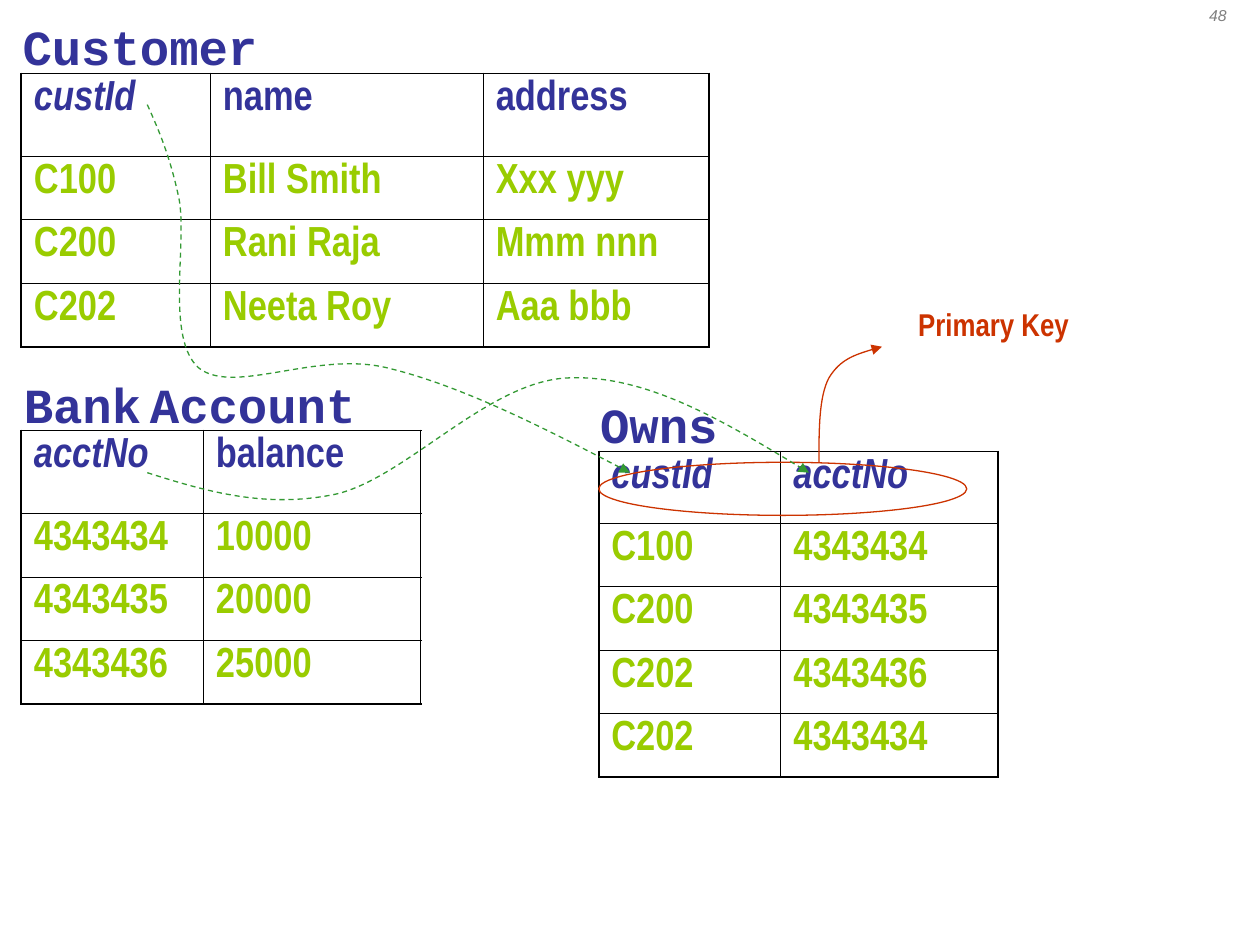
from lxml.etree import SubElement
from pptx import Presentation
from pptx.dml.color import RGBColor
from pptx.enum.dml import MSO_LINE
from pptx.enum.shapes import MSO_SHAPE
from pptx.enum.text import MSO_ANCHOR, MSO_AUTO_SIZE, PP_ALIGN
from pptx.oxml import parse_xml
from pptx.oxml.ns import nsdecls, qn
from pptx.util import Cm, Pt

NAVY = RGBColor(0x33, 0x33, 0x99)
LIME = RGBColor(0x99, 0xCC, 0x00)
RED = RGBColor(0xCC, 0x33, 0x00)
GREEN = RGBColor(0x33, 0x99, 0x33)
GRAY = RGBColor(0x80, 0x80, 0x80)
BLACK = RGBColor(0, 0, 0)

OUTER_BORDER, INNER_BORDER = Pt(1.08), Pt(0.45)
ROW_HEIGHT = 1.28

HEADING = ("Courier New", 28, NAVY, True, False)
WORD_GAP = ("Arial", 18, BLACK, True, False)
KEY_FIELD = ("Arial Narrow", 24, NAVY, True, True)
FIELD = ("Arial Narrow", 24, NAVY, True, False)
VALUE = ("Arial Narrow", 24, LIME, True, False)
NOTE = ("Arial Narrow", 18, RED, True, False)
PAGE = ("Arial", 9, GRAY, False, True)

RELATIONS = [
    {
        "heading": [("Customer", HEADING)],
        "heading_box": (0.2, 0.2, 5.6, 1.45),
        "corner": (0.43, 1.48), "columns": (3.81, 5.5, 4.55), "header_height": 1.67,
        "keys": ["custId"], "fields": ["name", "address"],
        "records": [("C100", "Bill Smith", "Xxx yyy"),
                    ("C200", "Rani Raja", "Mmm nnn"),
                    ("C202", "Neeta Roy", "Aaa bbb")],
    },
    {
        "heading": [("Bank", HEADING), (" ", WORD_GAP), ("Account", HEADING)],
        "heading_box": (0.23, 7.42, 7.4, 1.45),
        "corner": (0.43, 8.68), "columns": (3.67, 4.38), "header_height": 1.67,
        "keys": ["acctNo"], "fields": ["balance"],
        "records": [("4343434", "10000"), ("4343435", "20000"), ("4343436", "25000")],
    },
    {
        "heading": [("Owns", HEADING)],
        "heading_box": (11.85, 7.82, 3, 1.45),
        "corner": (12.07, 9.1), "columns": (3.67, 4.38), "header_height": 1.45,
        "keys": ["custId", "acctNo"], "fields": [],
        "records": [("C100", "4343434"), ("C200", "4343435"),
                    ("C202", "4343436"), ("C202", "4343434")],
    },
]

PRIMARY_KEY_OVAL = (12.07, 9.32, 7.42, 1.07)
PRIMARY_KEY_ARROW = [(16.51, 9.32),
                     (16.51, 8.66), (16.51, 8), (16.71, 7.62),
                     (16.94, 7.24), (17.35, 7.11), (17.78, 6.99)]
FOREIGN_KEY_ARROWS = [
    [(2.97, 2.11),
     (3.2, 2.62), (3.43, 3.15), (3.61, 4.01),
     (3.78, 4.9), (3.33, 6.83), (4.01, 7.42),
     (4.72, 7.98), (6.38, 7.06), (7.82, 7.42),
     (9.27, 7.77), (11, 8.64), (12.7, 9.53)],
    [(2.97, 9.53),
     (4.17, 9.91), (5.36, 10.26), (6.78, 9.96),
     (8.18, 9.63), (9.83, 7.7), (11.43, 7.62),
     (13, 7.54), (14.66, 8.53), (16.31, 9.53)],
]


def lengths(values):
    return [Cm(value) for value in values]


def write(frame, runs, align=PP_ALIGN.LEFT):
    paragraph = frame.paragraphs[0]
    paragraph.alignment = align
    for words, (face, size, color, bold, italic) in runs:
        run = paragraph.add_run()
        run.text = words
        run.font.name = face
        run.font.size = Pt(size)
        run.font.color.rgb = color
        run.font.bold = bold
        run.font.italic = italic


def add_label(slide, box, runs, align=PP_ALIGN.LEFT):
    frame = slide.shapes.add_textbox(*lengths(box)).text_frame
    frame.word_wrap = False
    write(frame, runs, align)


def write_title(title, box, runs):
    title.left, title.top, title.width, title.height = lengths(box)
    frame = title.text_frame
    frame.word_wrap = False
    frame.auto_size = MSO_AUTO_SIZE.NONE
    frame.vertical_anchor = MSO_ANCHOR.TOP
    write(frame, runs)


def set_borders(cell, outer_sides):
    properties = cell._tc.get_or_add_tcPr()
    for position, side in enumerate("LRTB"):
        width = OUTER_BORDER if side in outer_sides else INNER_BORDER
        properties.insert(position, parse_xml(
            f'<a:ln{side} {nsdecls("a")} w="{int(width)}"><a:solidFill>'
            f'<a:srgbClr val="{BLACK}"/></a:solidFill></a:ln{side}>'))


def add_relation(slide, relation):
    header = ([(name, KEY_FIELD) for name in relation["keys"]]
              + [(name, FIELD) for name in relation["fields"]])
    rows = [header] + [[(value, VALUE) for value in record] for record in relation["records"]]
    columns = relation["columns"]
    heights = [relation["header_height"]] + [ROW_HEIGHT] * len(relation["records"])
    size = (sum(columns), sum(heights))
    table = slide.shapes.add_table(
        len(rows), len(columns), *lengths(relation["corner"] + size)).table
    table.first_row = table.horz_banding = False
    for column, width in zip(table.columns, columns):
        column.width = Cm(width)
    for r, (row, height) in enumerate(zip(rows, heights)):
        table.rows[r].height = Cm(height)
        for c, entry in enumerate(row):
            cell = table.cell(r, c)
            cell.fill.background()
            edges = {"L": c == 0, "R": c == len(columns) - 1,
                     "T": r == 0, "B": r == len(rows) - 1}
            set_borders(cell, [side for side, outer in edges.items() if outer])
            write(cell.text_frame, [entry])


def outline(shape, color):
    shape.shadow.inherit = False
    shape.fill.background()
    shape.line.color.rgb = color
    shape.line.width = Pt(0.75)


def add_curved_arrow(slide, points, color, dashed=False):
    start, *rest = [lengths(point) for point in points]
    builder = slide.shapes.build_freeform(*start)
    builder.add_line_segments(rest, close=False)
    arrow = builder.convert_to_shape()
    segments = list(arrow._element.iter(qn("a:lnTo")))
    for first in range(0, len(segments), 3):
        curve = segments[first].getparent()
        bezier = SubElement(curve, qn("a:cubicBezTo"))
        for segment in segments[first:first + 3]:
            bezier.append(segment[0])
            curve.remove(segment)
    outline(arrow, color)
    if dashed:
        arrow.line.dash_style = MSO_LINE.DASH
    SubElement(arrow.line._get_or_add_ln(), qn("a:tailEnd"), type="triangle")


def main():
    deck = Presentation()
    deck.slide_width, deck.slide_height = Cm(25.4), Cm(19.05)
    slide = deck.slides.add_slide(deck.slide_layouts[5])

    add_label(slide, (23.7, 0, 1.7, 1.27), [("48", PAGE)], PP_ALIGN.CENTER)
    customer, *others = RELATIONS
    write_title(slide.shapes.title, customer["heading_box"], customer["heading"])
    for relation in RELATIONS:
        add_relation(slide, relation)
    for relation in others:
        add_label(slide, relation["heading_box"], relation["heading"])

    oval = slide.shapes.add_shape(MSO_SHAPE.OVAL, *lengths(PRIMARY_KEY_OVAL))
    outline(oval, RED)
    add_curved_arrow(slide, PRIMARY_KEY_ARROW, RED)
    add_label(slide, (18.26, 6.02, 3.9, 1.02), [("Primary Key", NOTE)])
    for points in FOREIGN_KEY_ARROWS:
        add_curved_arrow(slide, points, GREEN, dashed=True)

    deck.save("out.pptx")


if __name__ == "__main__":
    main()
